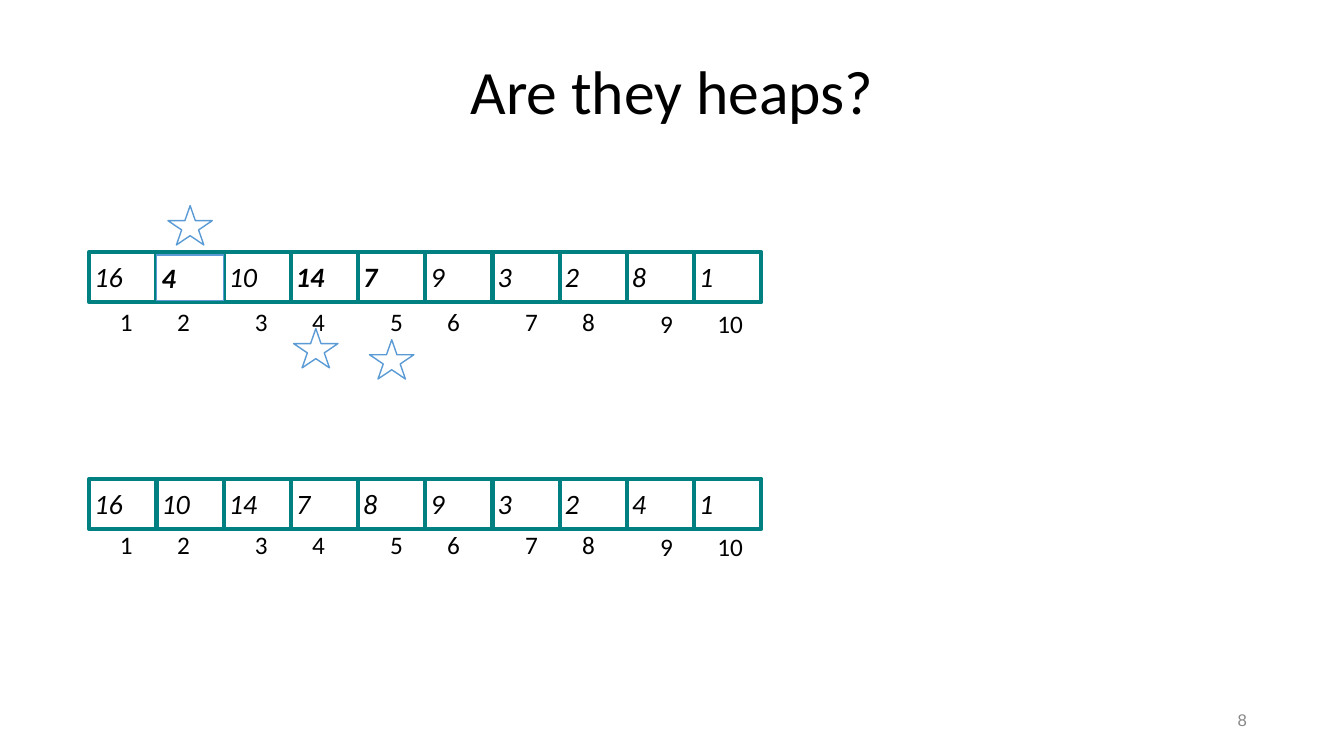
import pptx
import pptx.util
import pptx.dml.color
import pptx.enum.text
import pptx.enum.shapes

Pt = pptx.util.Pt
Shape = pptx.enum.shapes.MSO_SHAPE
Align = pptx.enum.text.PP_ALIGN
Mid = pptx.enum.text.MSO_ANCHOR.MIDDLE
Top = pptx.enum.text.MSO_ANCHOR.TOP
Fit = pptx.enum.text.MSO_AUTO_SIZE

WIDE, HIGH = pptx.util.Inches(13.333), pptx.util.Inches(7.5)
COLS, ROWS = 20, 30
LEFT = 1.33

THEME = {
    "ink": "000000", "paper": "FFFFFF", "teal": "008080",
    "blue": "5B9BD5", "grey": "888888",
    "title": {"name": "Calibri", "size": Pt(44)},
    "value": {"name": "Calibri", "size": Pt(20), "italic": True},
    "bold": {"name": "Calibri", "size": Pt(20), "italic": True, "bold": True},
    "index": {"name": "Calibri", "size": Pt(18)},
    "page": {"name": "Arial", "size": Pt(12)},
}

LISTS = [
    {"row": 10, "index": 11.96, "marks": (2, 4, 5),
     "values": (16, 4, 10, 14, 7, 9, 3, 2, 8, 1)},
    {"row": 19, "index": 20.8, "marks": (),
     "values": (16, 10, 14, 7, 8, 9, 3, 2, 4, 1)},
]
STARS = [(2.5, 8.16), (4.37, 13.04), (5.5, 13.48)]
FOCUS = 2


def tint(name):
    return pptx.dml.color.RGBColor.from_string(THEME[name])


def grid(col, row, wide, high):
    return (round(WIDE * col / COLS), round(HIGH * row / ROWS),
            round(WIDE * wide / COLS), round(HIGH * high / ROWS))


def assign(item, values):
    for name, value in values.items():
        setattr(item, name, value)


def write(shape, text, style, ink="ink", align=Align.LEFT, **frame):
    pad = Pt(3.6)
    body = shape.text_frame
    body.text = str(text)
    assign(body, {"margin_left": pad, "margin_right": pad,
                  "margin_top": pad, "margin_bottom": pad,
                  "word_wrap": True, "vertical_anchor": Mid,
                  "auto_size": Fit.SHAPE_TO_FIT_TEXT, **frame})
    line = body.paragraphs[0]
    line.alignment = align
    font = line.runs[0].font
    assign(font, THEME[style])
    font.color.rgb = tint(ink)


def label(shapes, box, text, style, **frame):
    write(shapes.add_textbox(*grid(*box)), text, style, **frame)


def draw(shapes, kind, box, edge, width, fill="paper"):
    shape = shapes.add_shape(kind, *grid(*box))
    shape.shadow.inherit = False
    if fill:
        shape.fill.solid()
        shape.fill.fore_color.rgb = tint(fill)
    else:
        shape.fill.background()
    shape.line.color.rgb = tint(edge)
    shape.line.width = Pt(width)
    return shape


def cell(shapes, col, row, value, style):
    group = shapes.add_group_shape().shapes
    draw(group, Shape.RECTANGLE, (col, row, 1, 2), "teal", 3)
    wide = 0.6 if value > 9 else 0.38
    label(group, (col, row + 0.12, wide, 1.72), value, style, word_wrap=False)


def focus(shapes, col, row, value):
    box = (col, row + 0.12, 1, 1.8)
    shape = draw(shapes, Shape.RECTANGLE, box, "blue", 1)
    write(shape, value, "bold")


def count(shapes, row, total):
    group = shapes.add_group_shape().shapes
    for place in range(total):
        pair, side = divmod(place, 2)
        col = 1.71 + 2.01 * pair + 0.85 * side
        drop = 0.08 if place >= total - 2 else 0
        wide = 0.55 if place >= 9 else 0.36
        label(group, (col, row + drop, wide, 1.64), place + 1, "index",
              word_wrap=False, vertical_anchor=Top)


def array(shapes, data):
    row, marks = data["row"], data["marks"]
    for place, value in enumerate(data["values"], 1):
        col = LEFT + place - 1
        if place == FOCUS and place in marks:
            draw(shapes, Shape.RECTANGLE, (col, row, 1, 2), "teal", 3, None)
        else:
            cell(shapes, col, row, value, "bold" if place in marks else "value")
    if FOCUS in marks:
        focus(shapes, LEFT + FOCUS - 1, row, data["values"][FOCUS - 1])
    count(shapes, data["index"], len(data["values"]))


def head(slide, text):
    title = slide.shapes.title
    box = grid(1.38, 1.6, 17.25, 4.28)
    assign(title, dict(zip(("left", "top", "width", "height"), box)))
    write(title, text, "title", align=Align.CENTER, auto_size=Fit.NONE)
    title.text_frame.paragraphs[0].line_spacing = 0.9


def main():
    deck = pptx.Presentation()
    assign(deck, {"slide_width": WIDE, "slide_height": HIGH})
    slide = deck.slides.add_slide(deck.slide_layouts[5])
    shapes = slide.shapes
    head(slide, "Are they heaps?")
    label(shapes, (14.13, 28, 4.5, 1.16), 8, "page",
          ink="grey", align=Align.RIGHT)
    for data in LISTS:
        array(shapes, data)
    for col, row in STARS:
        draw(shapes, Shape.STAR_5_POINT, (col, row, 0.66, 1.56), "blue", 1)
    deck.save("out.pptx")


if __name__ == "__main__":
    main()
